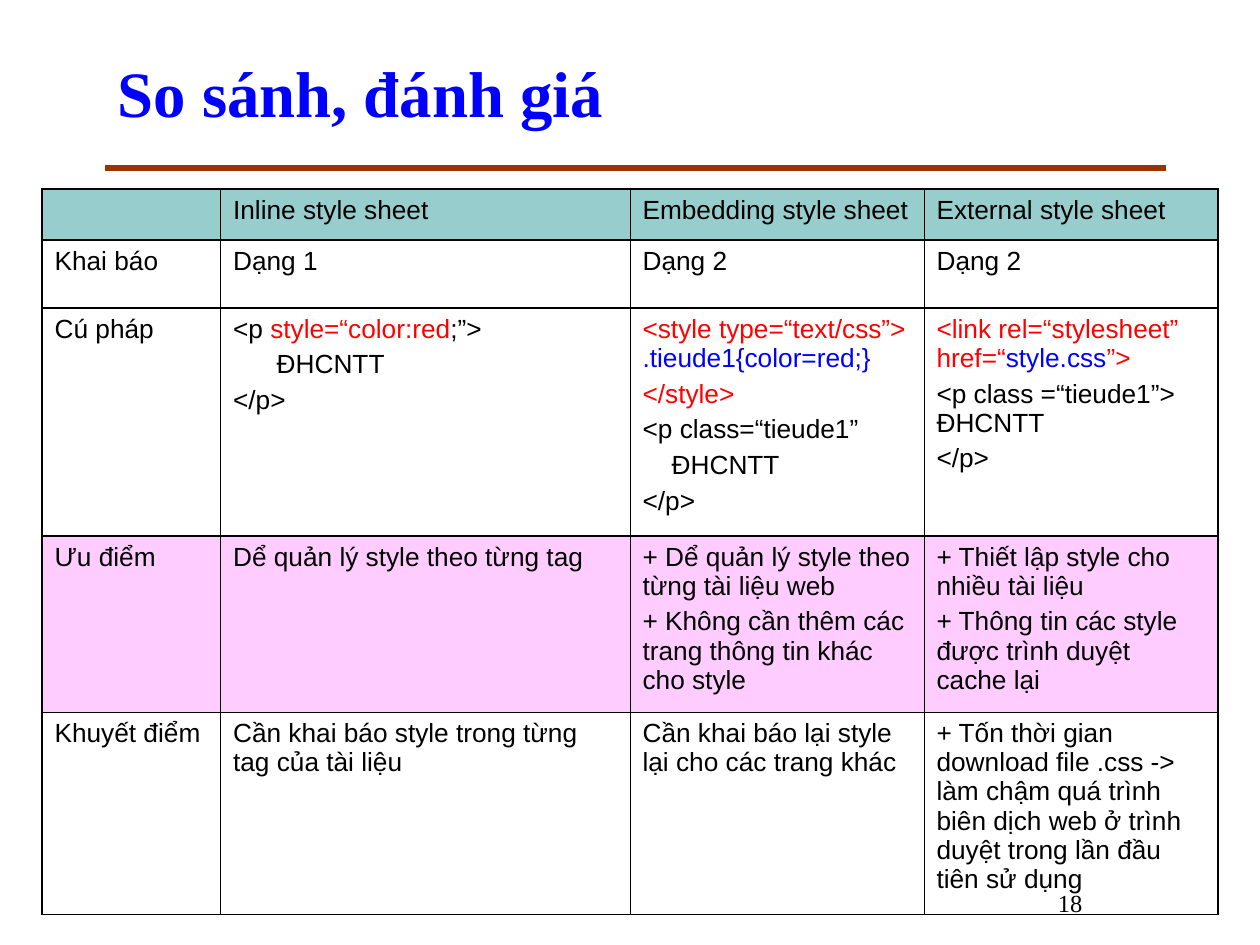
from lxml.etree import SubElement
from pptx import Presentation
from pptx.dml.color import RGBColor
from pptx.enum.shapes import MSO_CONNECTOR
from pptx.enum.text import MSO_ANCHOR, PP_ALIGN
from pptx.oxml.ns import qn
from pptx.util import Pt

BLACK = RGBColor(0x00, 0x00, 0x00)
RED = RGBColor(0xFF, 0x00, 0x00)
BLUE = RGBColor(0x00, 0x00, 0xFF)
BROWN = RGBColor(0x99, 0x33, 0x00)
TEAL = RGBColor(0x97, 0xCD, 0xCC)
PINK = RGBColor(0xFF, 0xCC, 0xFF)

SERIF = "Times New Roman"
SANS = "Arial"
COLS = [102, 234, 168, 168]
ROWS = [29.2, 38.9, 130.3, 100.8, 115.5]
FILLS = [TEAL, None, None, PINK, None]
THICK, THIN = 1.08, 0.45

CELLS = [
    [[], ["Inline style sheet"], ["Embedding style sheet"],
     ["External style sheet"]],
    [["Khai báo"], ["Dạng 1"], ["Dạng 2"], ["Dạng 2"]],
    [["Cú pháp"],
     [["<p ", ("style=“color:red", RED), ";”>"], "      ĐHCNTT", "</p>"],
     [[("<style type=“text/css”> ", RED), (".tieude1{color=red;}", BLUE)],
      [("</style>", RED)], "<p class=“tieude1”", "    ĐHCNTT", "</p>"],
     [[("<link rel=“stylesheet” href=“", RED), ("style.css", BLUE),
       ("”>", RED)], "<p class =“tieude1”> ĐHCNTT", "</p>"]],
    [["Ưu điểm"], ["Dể quản lý style theo từng tag"],
     ["+ Dể quản lý style theo từng tài liệu web",
      "+ Không cần thêm các trang thông tin khác cho style"],
     ["+ Thiết lập style cho nhiều tài liệu",
      "+ Thông tin các style được trình duyệt cache lại"]],
    [["Khuyết điểm"], ["Cần khai báo style trong từng tag của tài liệu"],
     ["Cần khai báo lại style lại cho các trang khác"],
     ["+ Tốn thời gian download file .css -> làm chậm quá trình biên dịch "
      "web ở trình duyệt trong lần đầu tiên sử dụng"]],
]


def add_run(para, text, size, face, color, bold=False):
    run = para.add_run()
    run.text = text
    font = run.font
    font.size, font.name, font.bold = Pt(size), face, bold
    font.color.rgb = color


def set_pads(frame):
    frame.margin_left = frame.margin_right = Pt(7.2)
    frame.margin_top = frame.margin_bottom = Pt(3.6)


def add_edges(cell, col):
    last = len(COLS) - 1
    sides = {
        "L": THICK if col == 0 else THIN,
        "R": THICK if col == last else THIN,
        "T": THICK,
        "B": THICK,
    }
    props = cell._tc.get_or_add_tcPr()
    for side, width in sides.items():
        line = SubElement(props, qn(f"a:ln{side}"), w=str(int(Pt(width))))
        fill = SubElement(line, qn("a:solidFill"))
        SubElement(fill, qn("a:srgbClr"), val=str(BLACK))


def fill_cell(cell, paras):
    frame = cell.text_frame
    for index, parts in enumerate(paras):
        para = frame.paragraphs[0] if index == 0 else frame.add_paragraph()
        if index:
            para.space_before = Pt(3.7)
        for part in [parts] if isinstance(parts, str) else parts:
            text, color = (part, BLACK) if isinstance(part, str) else part
            add_run(para, text, 15, SANS, color)


def add_title(slide, left, top, width, height):
    title = slide.shapes.title
    title.left, title.top = Pt(left), Pt(top)
    title.width, title.height = Pt(width), Pt(height)
    frame = title.text_frame
    frame.word_wrap = True
    frame.vertical_anchor = MSO_ANCHOR.BOTTOM
    set_pads(frame)
    para = frame.paragraphs[0]
    para.alignment = PP_ALIGN.LEFT
    add_run(para, "So sánh, đánh giá", 37, SERIF, BLUE, True)


def add_rule(slide, left, top, width):
    rule = slide.shapes.add_connector(
        MSO_CONNECTOR.STRAIGHT, Pt(left), Pt(top), Pt(left + width), Pt(top))
    rule.line.color.rgb = BROWN
    rule.line.width = Pt(3)
    SubElement(rule._element.spPr, qn("a:effectLst"))


def add_grid(slide, left, top):
    table = slide.shapes.add_table(
        len(ROWS), len(COLS), Pt(left), Pt(top),
        Pt(sum(COLS)), Pt(sum(ROWS))).table
    table.first_row = table.horz_banding = False
    for col, width in zip(table.columns, COLS):
        col.width = Pt(width)
    for index, height in enumerate(ROWS):
        table.rows[index].height = Pt(height)
        for col, paras in enumerate(CELLS[index]):
            cell = table.cell(index, col)
            set_pads(cell)
            add_edges(cell, col)
            if FILLS[index] is None:
                cell.fill.background()
            else:
                cell.fill.solid()
                cell.fill.fore_color.rgb = FILLS[index]
            fill_cell(cell, paras)


def add_number(slide, left, top, width, height):
    box = slide.shapes.add_textbox(
        Pt(left), Pt(top), Pt(width), Pt(height))
    frame = box.text_frame
    frame.word_wrap = True
    set_pads(frame)
    para = frame.paragraphs[0]
    para.alignment = PP_ALIGN.CENTER
    para._p.get_or_add_pPr().set("marL", str(int(Pt(17))))
    add_run(para, "18", 14, SERIF, BLACK)


def main():
    deck = Presentation()
    deck.slide_width, deck.slide_height = Pt(720), Pt(540)
    slide = deck.slides.add_slide(deck.slide_layouts[5])
    add_rule(slide, 60, 96, 606)
    add_title(slide, 60, 12, 606, 66)
    add_grid(slide, 24, 108)
    add_number(slide, 540, 504, 126, 36)
    deck.save("out.pptx")


if __name__ == "__main__":
    main()
